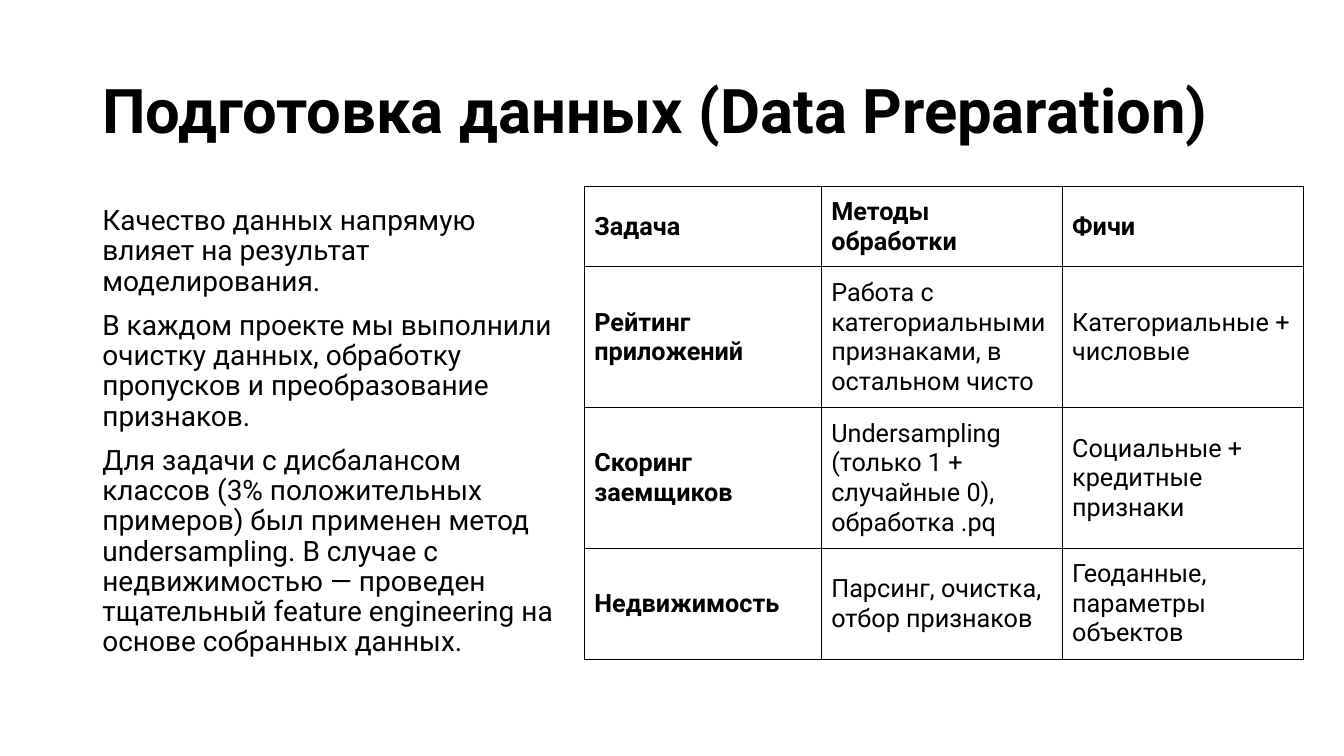
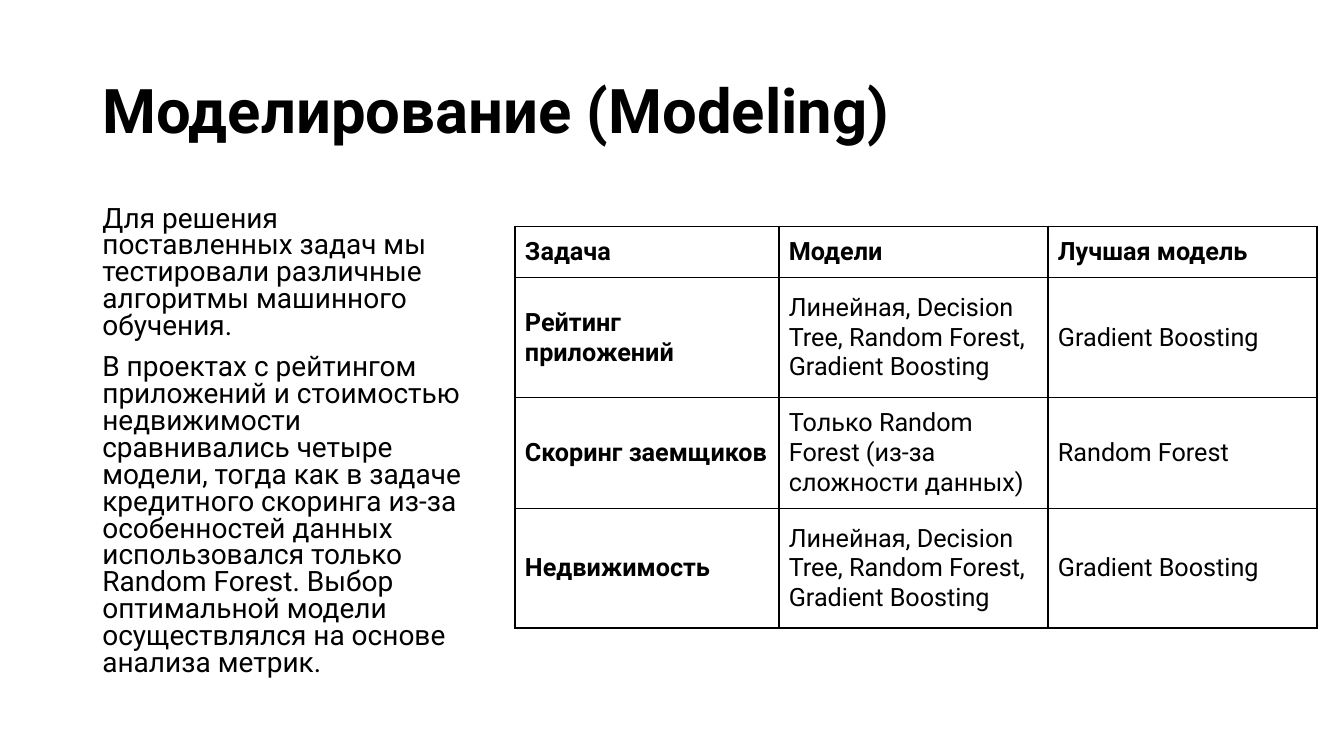
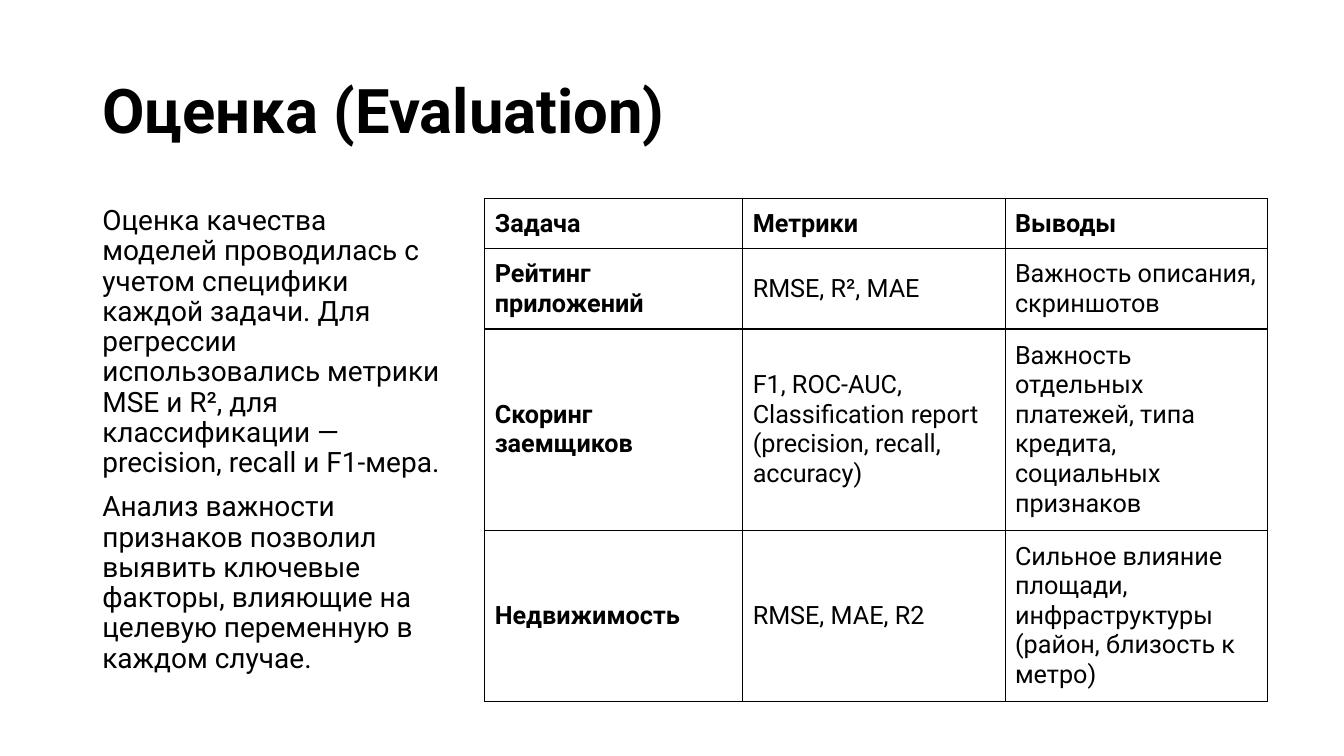
"""Build three slides on data preparation, modelling and evaluation, each with a text column and a table."""
from dataclasses import dataclass

from lxml.etree import SubElement
from pptx import Presentation
from pptx.dml.color import RGBColor
from pptx.enum.text import MSO_ANCHOR
from pptx.oxml.ns import qn
from pptx.slide import Slide
from pptx.table import _Cell
from pptx.text.text import _Paragraph
from pptx.util import Cm, Pt


@dataclass(frozen=True)
class Theme:
    font: str = "Roboto"
    ink: str = "000000"
    paper: str = "FFFFFF"
    title_size: int = 44
    body_size: int = 20
    cell_size: int = 18
    paragraph_gap: int = 10
    border_width: int = 1


@dataclass(frozen=True)
class Frame:
    left: float
    top: float
    width: float
    height: float


@dataclass(frozen=True)
class Grid:
    left: float
    top: float
    columns: tuple[float, ...]
    rows: tuple[float, ...]
    texts: tuple[tuple[str, ...], ...]


@dataclass(frozen=True)
class Page:
    title: str
    paragraphs: tuple[str, ...]
    body_width: float
    grid: Grid
    line_spacing: float = 0.9


THEME = Theme()
TITLE = Frame(2.33, 1.01, 29.21, 3.68)
BODY_TOP, BODY_HEIGHT = 5.08, 12.09
CELL_MARGIN = 0.25
APPS, LOANS, ESTATE = "Рейтинг приложений", "Скоринг заемщиков", "Недвижимость"
ALL_MODELS = "Линейная, Decision Tree, Random Forest, Gradient Boosting"

PAGES = (
    Page(
        "Подготовка данных (Data Preparation)",
        (
            "Качество данных напрямую влияет на результат моделирования.",
            "В каждом проекте мы выполнили очистку данных, обработку пропусков и преобразование признаков.",
            "Для задачи с дисбалансом классов (3% положительных примеров) был применен метод undersampling. "
            "В случае с недвижимостью — проведен тщательный feature engineering на основе собранных данных.",
        ),
        11.96,
        Grid(14.73, 4.7, (5.97, 6.07, 6.07), (1.88, 3.25, 3.25, 2.57), (
            ("Задача", "Методы обработки", "Фичи"),
            (APPS, "Работа с категориальными признаками, в остальном чисто", "Категориальные + числовые"),
            (LOANS, "Undersampling (только 1 + случайные 0), обработка .pq", "Социальные + кредитные признаки"),
            (ESTATE, "Парсинг, очистка, отбор признаков", "Геоданные, параметры объектов"),
        )),
    ),
    Page(
        "Моделирование (Modeling)",
        (
            "Для решения поставленных задач мы тестировали различные алгоритмы машинного обучения.",
            "В проектах с рейтингом приложений и стоимостью недвижимости сравнивались четыре модели, "
            "тогда как в задаче кредитного скоринга из-за особенностей данных использовался только "
            "Random Forest. Выбор оптимальной модели осуществлялся на основе анализа метрик.",
        ),
        9.63,
        Grid(12.98, 5.7, (6.65, 6.78, 6.78), (1.3, 3.02, 2.49, 3.02), (
            ("Задача", "Модели", "Лучшая модель"),
            (APPS, ALL_MODELS, "Gradient Boosting"),
            (LOANS, "Только Random Forest (из-за сложности данных)", "Random Forest"),
            (ESTATE, ALL_MODELS, "Gradient Boosting"),
        )),
        line_spacing=0.8,
    ),
    Page(
        "Оценка (Evaluation)",
        (
            "Оценка качества моделей проводилась с учетом специфики каждой задачи. Для регрессии "
            "использовались метрики MSE и R², для классификации — precision, recall и F1-мера.",
            "Анализ важности признаков позволил выявить ключевые факторы, влияющие на целевую "
            "переменную в каждом случае.",
        ),
        9.22,
        Grid(12.22, 5.0, (6.5, 6.61, 6.61), (1.24, 1.98, 4.17, 4.17), (
            ("Задача", "Метрики", "Выводы"),
            (APPS, "RMSE, R², MAE", "Важность описания, скриншотов"),
            (LOANS, "F1, ROC-AUC, Classification report (precision, recall, accuracy)",
             "Важность отдельных платежей, типа кредита, социальных признаков"),
            (ESTATE, "RMSE, MAE, R2",
             "Сильное влияние площади, инфраструктуры (район, близость к метро)"),
        )),
    ),
)


def apply_format(target: object, values: dict[str, object]) -> None:
    for name, value in values.items():
        setattr(target, name, value)


def write_span(para: _Paragraph, text: str, size: int, bold: bool = False) -> None:
    span = para.add_run()
    span.text = text
    apply_format(span.font, {"name": THEME.font, "size": Pt(size), "bold": bold})
    span.font.color.rgb = RGBColor.from_string(THEME.ink)


def add_text(slide: Slide, frame: Frame, texts: tuple[str, ...], size: int, bold: bool,
             anchor: MSO_ANCHOR, para_format: dict[str, object]) -> None:
    box = slide.shapes.add_textbox(Cm(frame.left), Cm(frame.top), Cm(frame.width), Cm(frame.height))
    apply_format(box.text_frame, {"word_wrap": True, "vertical_anchor": anchor})
    for index, text in enumerate(texts):
        para = box.text_frame.add_paragraph() if index else box.text_frame.paragraphs[0]
        apply_format(para, para_format)
        write_span(para, text, size, bold)


def add_borders(cell: _Cell) -> None:
    properties = cell._tc.get_or_add_tcPr()
    for side in ("a:lnL", "a:lnR", "a:lnT", "a:lnB"):
        line = SubElement(properties, qn(side), w=str(Pt(THEME.border_width)))
        SubElement(SubElement(line, qn("a:solidFill")), qn("a:srgbClr"), val=THEME.ink)


def fill_cell(cell: _Cell, text: str, bold: bool) -> None:
    margins = {f"margin_{side}": Cm(CELL_MARGIN) for side in ("left", "top", "right", "bottom")}
    apply_format(cell, {"vertical_anchor": MSO_ANCHOR.MIDDLE, **margins})
    add_borders(cell)
    cell.fill.solid()
    cell.fill.fore_color.rgb = RGBColor.from_string(THEME.paper)
    write_span(cell.text_frame.paragraphs[0], text, THEME.cell_size, bold)


def add_grid(slide: Slide, grid: Grid) -> None:
    table = slide.shapes.add_table(
        len(grid.rows), len(grid.columns), Cm(grid.left), Cm(grid.top),
        Cm(sum(grid.columns)), Cm(sum(grid.rows)),
    ).table
    apply_format(table, {"first_row": False, "horz_banding": False})
    for column, width in zip(table.columns, grid.columns):
        column.width = Cm(width)
    for row, height in zip(table.rows, grid.rows):
        row.height = Cm(height)
    for row_index, texts in enumerate(grid.texts):
        for column_index, text in enumerate(texts):
            is_heading = row_index == 0 or column_index == 0
            fill_cell(table.cell(row_index, column_index), text, is_heading)


def add_page(slide: Slide, page: Page) -> None:
    add_text(slide, TITLE, (page.title,), THEME.title_size, True, MSO_ANCHOR.MIDDLE,
             {"line_spacing": 0.9})
    body = Frame(TITLE.left, BODY_TOP, page.body_width, BODY_HEIGHT)
    add_text(slide, body, page.paragraphs, THEME.body_size, False, MSO_ANCHOR.TOP,
             {"line_spacing": page.line_spacing, "space_before": Pt(THEME.paragraph_gap)})
    add_grid(slide, page.grid)


def main() -> None:
    deck = Presentation()
    apply_format(deck, {"slide_width": Cm(33.87), "slide_height": Cm(19.05)})
    for page in PAGES:
        add_page(deck.slides.add_slide(deck.slide_layouts[6]), page)
    deck.save("out.pptx")


if __name__ == "__main__":
    main()
